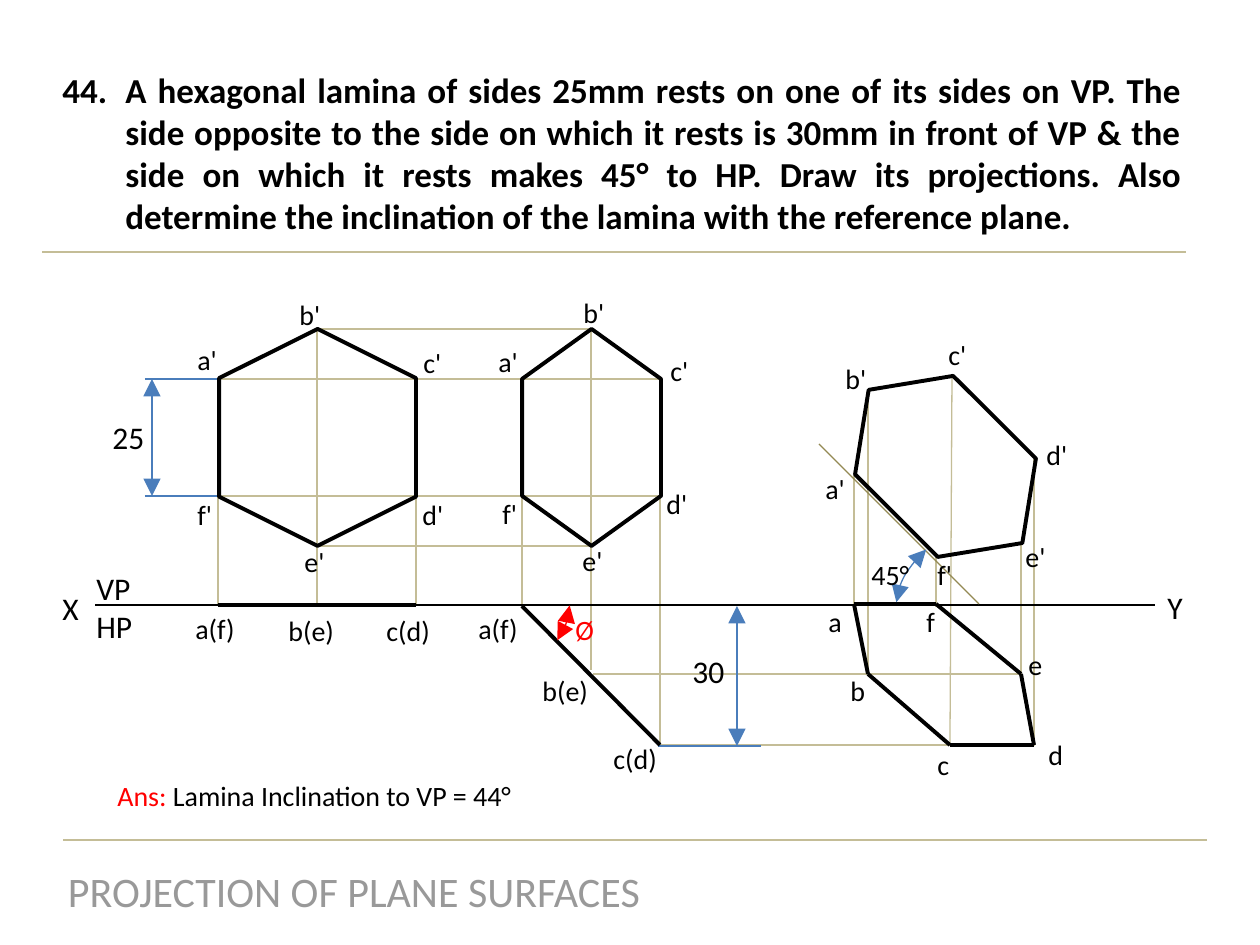
from lxml import etree
from pptx import Presentation
from pptx.dml.color import RGBColor
from pptx.enum.shapes import MSO_CONNECTOR, MSO_SHAPE
from pptx.enum.text import MSO_ANCHOR, PP_ALIGN
from pptx.oxml.ns import qn
from pptx.util import Emu, Pt

STRAIGHT = MSO_CONNECTOR.STRAIGHT
HEXAGON, ARC = MSO_SHAPE.HEXAGON, MSO_SHAPE.ARC
LEFT, CENTER, JUSTIFY = PP_ALIGN.LEFT, PP_ALIGN.CENTER, PP_ALIGN.JUSTIFY
PX = 914400 / 126
COLORS = {
    "ink": "000000", "projector": "C4BD97", "side": "938953",
    "dimension": "4A7DBB", "answer": "FF0000", "footer": "999999",
}
THIN, THICK = 0.75, 2.25

prs = Presentation()
prs.slide_width, prs.slide_height = Emu(round(1260 * PX)), Emu(round(945 * PX))
slide = prs.slides.add_slide(prs.slide_layouts[6])


def outline(shape, color, weight, arrows=False):
    shape.line.color.rgb = RGBColor.from_string(COLORS[color])
    shape.line.width = Pt(weight)
    properties = shape._element.spPr
    if arrows:
        for end in ("a:headEnd", "a:tailEnd"):
            etree.SubElement(properties.find(qn("a:ln")), qn(end), type="triangle", w="lg", len="lg")
    etree.SubElement(properties, qn("a:effectLst"))


def write(box, lines, size, align=LEFT, wrap=False, bold=False):
    textbox = slide.shapes.add_textbox(*[Emu(round(n * PX)) for n in box])
    frame = textbox.text_frame
    for name, value in {"word_wrap": wrap, "vertical_anchor": MSO_ANCHOR.TOP}.items():
        setattr(frame, name, value)
    for index, runs in enumerate(lines):
        paragraph = frame.paragraphs[0] if index == 0 else frame.add_paragraph()
        paragraph.alignment = align
        for text, color in runs:
            run = paragraph.add_run()
            run.text = text
            for name, value in {"name": "Calibri", "size": Pt(size), "bold": bold}.items():
                setattr(run.font, name, value)
            run.font.color.rgb = RGBColor.from_string(COLORS[color])
    return frame


question = write((50, 62, 1144, 183), [[(
    "A hexagonal lamina of sides 25mm rests on one of its sides on VP. "
    "The side opposite to the side on which it rests is 30mm in front of VP "
    "& the side on which it rests makes 45° to HP. Draw its projections. "
    "Also determine the inclination of the lamina with the reference plane.", "ink")]],
    20, JUSTIFY, True, True)
numbering = question.paragraphs[0]._p.get_or_add_pPr()
numbering.set("marL", "457200")
numbering.set("indent", "-457200")
etree.SubElement(numbering, qn("a:buFont"), typeface="+mj-lt")
etree.SubElement(numbering, qn("a:buAutoNum"), type="arabicPeriod", startAt="44")

write((53, 859, 602, 63), [[("PROJECTION OF PLANE SURFACES", "footer")]], 24, CENTER)

projectors = [
    (1207, 840, 63, 840), (1186, 252, 42, 252),
    (218, 606, 218, 496), (416, 496, 416, 606), (317, 607, 317, 329),
    (522, 606, 522, 379), (660, 379, 660, 745), (591, 670, 591, 329),
    (591, 329, 317, 329), (660, 379, 218, 379), (660, 496, 218, 496), (591, 546, 317, 546),
    (868, 675, 868, 391), (1034, 459, 1034, 746), (1021, 675, 1021, 543),
    (854, 605, 854, 475), (936, 607, 936, 557), (950, 745, 952, 377),
    (1034, 745, 658, 745), (1021, 674, 593, 674),
]
edge_views = [(416, 605, 218, 605), (660, 745, 522, 606)]
top_view = [(854, 604), (868, 674), (950, 745), (1034, 745), (1021, 674), (936, 604)]
lamina_sides = [start + end for start, end in zip(top_view, top_view[1:] + top_view[:1])]
height_dimension = slide.shapes.add_group_shape().shapes

for parent, segments, color, weight, arrows in [
    (slide.shapes, projectors, "projector", THIN, False),
    (slide.shapes, [(1155, 605, 95, 605)], "ink", THIN, False),
    (slide.shapes, [(819, 444, 979, 604)], "side", THIN, False),
    (height_dimension, [(152, 379, 152, 496)], "dimension", THIN, True),
    (height_dimension, [(145, 379, 218, 379), (145, 496, 218, 496)], "dimension", THIN, False),
    (slide.shapes, [(737, 606, 737, 746)], "dimension", THIN, True),
    (slide.shapes, [(658, 746, 761, 746)], "dimension", THIN, False),
    (slide.shapes, edge_views + lamina_sides, "ink", THICK, False),
]:
    for segment in segments:
        line = parent.add_connector(STRAIGHT, *[Emu(round(n * PX)) for n in segment])
        outline(line, color, weight, arrows)

for kind, box, rotation, adjustments, color, weight in [
    (HEXAGON, (209, 339, 217, 197), 90, [0.25], "ink", THICK),
    (HEXAGON, (483, 368, 217, 139), 90, [0.36], "ink", THICK),
    (HEXAGON, (837, 397, 217, 139), 44.9, [0.36], "ink", THICK),
    (ARC, (499, 572, 64, 100), 34.5, [181.37, 0.28], "answer", THIN),
    (ARC, (921, 496, 93, 160), 235.8, [170.38, 202.15], "dimension", THIN),
]:
    figure = slide.shapes.add_shape(kind, *[Emu(round(n * PX)) for n in box])
    figure.rotation = rotation
    figure.fill.background()
    for index, value in enumerate(adjustments):
        figure.adjustments[index] = value
    outline(figure, color, weight, kind == ARC)

label_widths = {
    "a'": 45, "b'": 47, "c'": 44, "d'": 47, "e'": 45, "f'": 40,
    "a(f)": 66, "b(e)": 72, "c(d)": 69,
    "a": 39, "b": 40, "c": 38, "d": 40, "e": 39, "f": 34, "45°": 68, "Ø": 35,
    "X": 42, "Y": 40, "25": 58, "30": 58,
}
corner_labels = [
    ("a'", 185, 336), ("b'", 287, 291), ("c'", 411, 339),
    ("d'", 410, 491), ("e'", 292, 538), ("f'", 185, 491),
    ("a(f)", 183, 605), ("b(e)", 276, 607), ("c(d)", 374, 607),
    ("a'", 486, 338), ("b'", 571, 289), ("c'", 658, 347),
    ("d'", 654, 480), ("e'", 570, 537), ("f'", 490, 490),
    ("a(f)", 466, 605), ("b(e)", 530, 667), ("c(d)", 601, 735),
    ("a'", 813, 465), ("b'", 833, 355), ("c'", 936, 331),
    ("d'", 1034, 431), ("e'", 1013, 533), ("f'", 925, 551),
    ("a", 816, 598), ("b", 838, 667), ("c", 925, 741),
    ("d", 1036, 731), ("e", 1016, 641), ("f", 914, 598),
    ("45°", 859, 551), ("Ø", 563, 606),
]
axis_labels = [("X", 50, 583), ("Y", 1155, 582), ("25", 100, 412), ("30", 680, 646)]

for labels, size, height in [(corner_labels, 16, 47), (axis_labels, 18, 50)]:
    for label, left, top in labels:
        color = "answer" if label == "Ø" else "ink"
        write((left, top, label_widths[label], height), [[(label, color)]], size)

write((84, 563, 62, 89), [[("VP", "ink")], [("HP", "ink")]], 18)
write((105, 772, 437, 47), [[("Ans: ", "answer"), ("Lamina Inclination to VP = 44°", "ink")]], 16)

prs.save("out.pptx")
